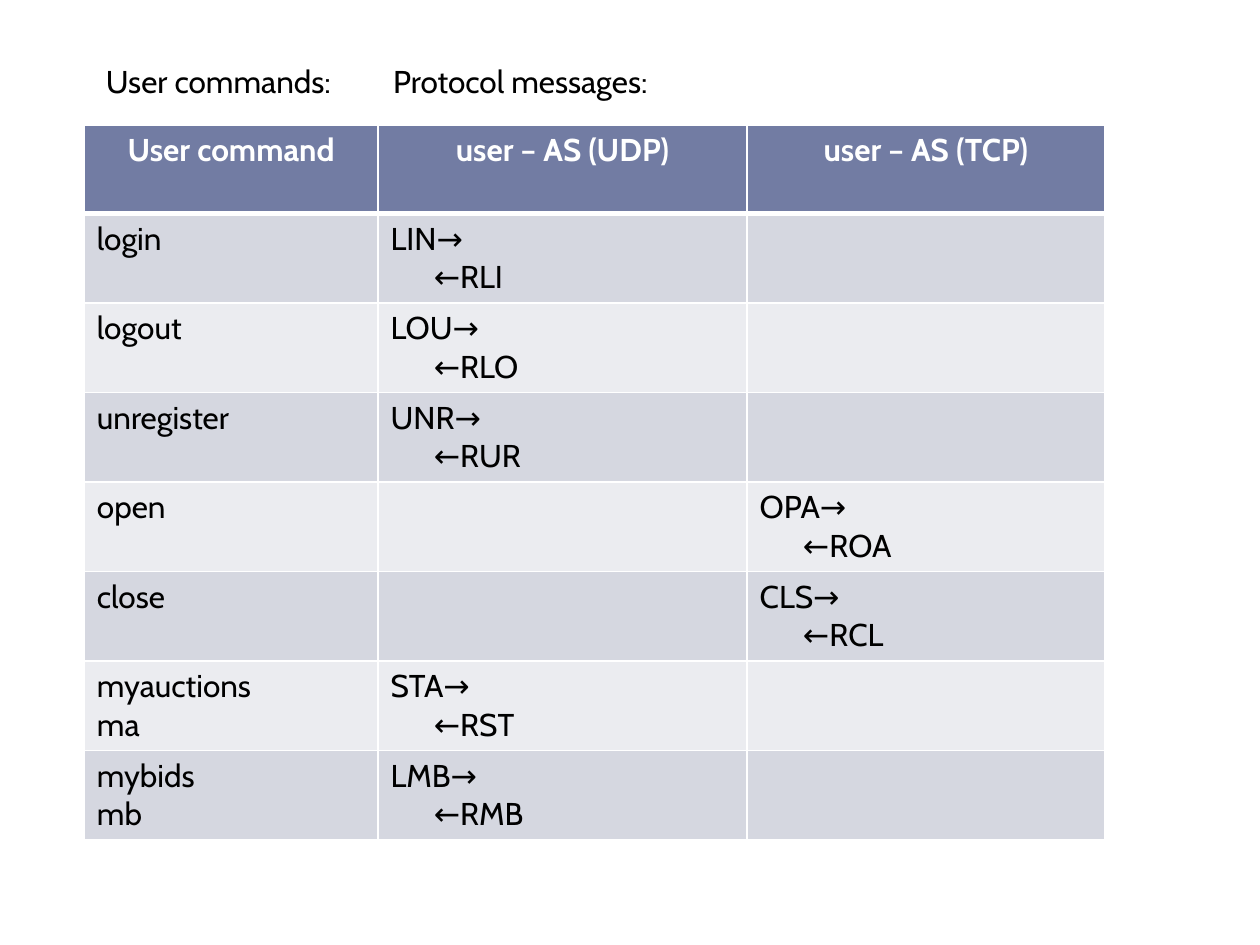
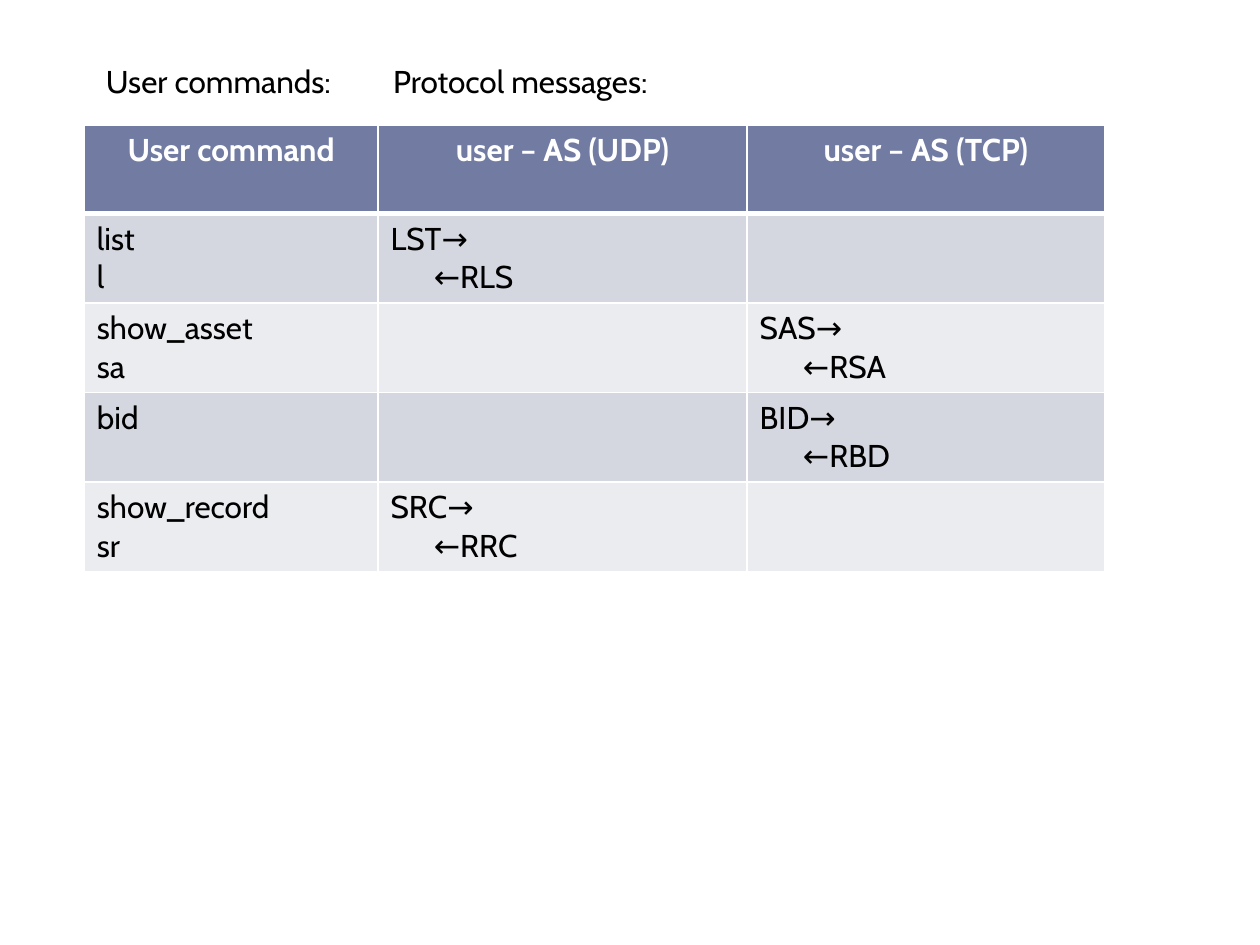
from lxml.etree import SubElement
from pptx import Presentation
from pptx.dml.color import RGBColor
from pptx.enum.text import MSO_ANCHOR, MSO_AUTO_SIZE, PP_ALIGN
from pptx.oxml.ns import qn
from pptx.util import Cm, Pt

HEADING = "User commands:\tProtocol messages:"
COLUMNS = ["User command", "user – AS (UDP)", "user – AS (TCP)"]
COLUMN_WIDTHS = [5.92, 7.44, 7.21]
UDP, TCP = 1, 2

SESSION_COMMANDS = [
    (["login"], UDP, "LIN", "RLI"),
    (["logout"], UDP, "LOU", "RLO"),
    (["unregister"], UDP, "UNR", "RUR"),
    (["open"], TCP, "OPA", "ROA"),
    (["close"], TCP, "CLS", "RCL"),
    (["myauctions", "ma"], UDP, "STA", "RST"),
    (["mybids", "mb"], UDP, "LMB", "RMB"),
]
AUCTION_COMMANDS = [
    (["list", "l"], UDP, "LST", "RLS"),
    (["show_asset", "sa"], TCP, "SAS", "RSA"),
    (["bid"], TCP, "BID", "RBD"),
    (["show_record", "sr"], UDP, "SRC", "RRC"),
]


def color(code):
    """Turn a hex string into a colour."""
    return RGBColor.from_string(code)


def write(para, text, font="Cabin", size=18, ink="000000", bold=False,
          align=PP_ALIGN.LEFT, indent=0, tab=None):
    """Write formatted text into a paragraph."""
    para.alignment = align
    properties = para._p.get_or_add_pPr()
    if indent:
        properties.set("marL", str(Cm(indent)))
    if tab:
        stops = SubElement(properties, qn("a:tabLst"))
        SubElement(stops, qn("a:tab"), pos=str(Cm(tab)), algn="l")
    span = para.add_run()
    span.text = text
    span.font.name = font
    span.font.size = Pt(size)
    span.font.bold = bold
    span.font.color.rgb = color(ink)


class CommandDeck:
    """Hold the shared style and the current slide."""

    header_fill = "727CA3"
    band_fills = ["D5D7E0", "EBECF0"]
    white = "FFFFFF"
    row_height = 1.78
    reply_indent = 0.87

    def __init__(self):
        """Start an empty deck of the right size."""
        self.deck = Presentation()
        self.deck.slide_width, self.deck.slide_height = Cm(25.4), Cm(19.05)
        self.page = None

    def add_page(self):
        """Start a white slide with only a title."""
        self.page = self.deck.slides.add_slide(self.deck.slide_layouts[5])
        self.page.background.fill.solid()
        self.page.background.fill.fore_color.rgb = color(self.white)

    def add_heading(self, text):
        """Place the heading line above the table."""
        box = self.page.shapes.title
        box.left, box.top, box.width, box.height = Cm(1.88), Cm(1.12), Cm(20.6), Cm(1.02)
        frame = box.text_frame
        frame.word_wrap = True
        frame.auto_size = MSO_AUTO_SIZE.NONE
        frame.vertical_anchor = MSO_ANCHOR.TOP
        write(frame.paragraphs[0], text, tab=5.79)

    def style_cell(self, cell, fill, top=1, bottom=1):
        """Give a cell its white borders and its fill."""
        properties = cell._tc.get_or_add_tcPr()
        for side, width in (("L", 1), ("R", 1), ("T", top), ("B", bottom)):
            line = SubElement(properties, qn(f"a:ln{side}"), w=str(Pt(width)))
            paint = SubElement(line, qn("a:solidFill"))
            SubElement(paint, qn("a:srgbClr"), val=self.white)
        cell.fill.solid()
        cell.fill.fore_color.rgb = color(fill)

    def fill_cell(self, cell, lines, indents=(0, 0)):
        """Write each line of a cell as a paragraph."""
        frame = cell.text_frame
        for number, (text, indent) in enumerate(zip(lines, indents)):
            para = frame.add_paragraph() if number else frame.paragraphs[0]
            write(para, text, indent=indent)

    def add_command_table(self, commands):
        """Add the table of commands and their messages."""
        count = len(commands) + 1
        table = self.page.shapes.add_table(
            count, len(COLUMNS), Cm(1.7), Cm(2.52),
            Cm(sum(COLUMN_WIDTHS)), Cm(self.row_height * count)).table
        for row in table.rows:
            row.height = Cm(self.row_height)
        for index, (label, width) in enumerate(zip(COLUMNS, COLUMN_WIDTHS)):
            table.columns[index].width = Cm(width)
            cell = table.cell(0, index)
            self.style_cell(cell, self.header_fill, bottom=3)
            write(cell.text_frame.paragraphs[0], label, ink=self.white,
                  bold=True, align=PP_ALIGN.CENTER)
        for row, (names, channel, request, reply) in enumerate(commands, 1):
            for index in range(len(COLUMNS)):
                self.style_cell(table.cell(row, index), self.band_fills[(row - 1) % 2],
                                top=3 if row == 1 else 1)
            self.fill_cell(table.cell(row, 0), names)
            self.fill_cell(table.cell(row, channel), [f"{request}→", f"←{reply}"],
                           (0, self.reply_indent))


def main():
    """Build both slides and save the deck."""
    builder = CommandDeck()
    for commands in (SESSION_COMMANDS, AUCTION_COMMANDS):
        builder.add_page()
        builder.add_heading(HEADING)
        builder.add_command_table(commands)
    builder.deck.save("out.pptx")


if __name__ == "__main__":
    main()
